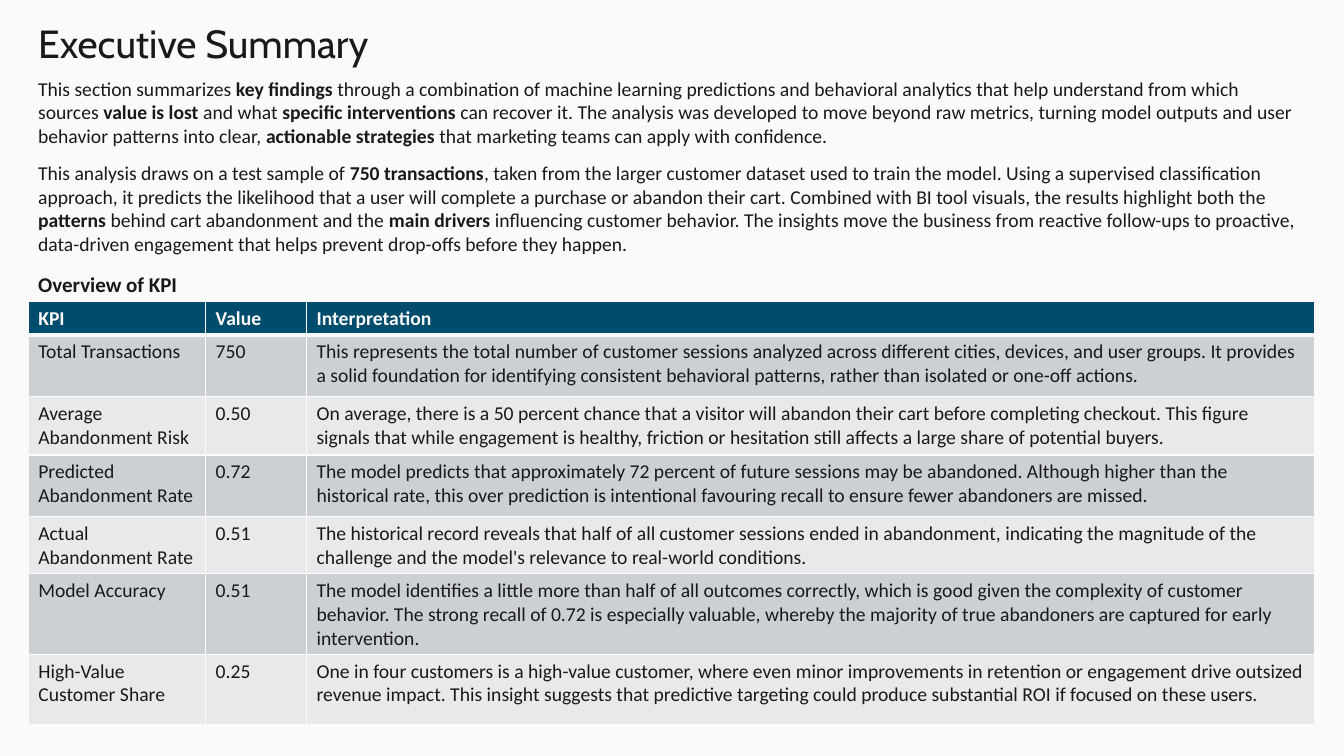
import pptx
import pptx.util
import pptx.dml.color
import pptx.enum.text
import pptx.oxml.ns
from lxml import etree
from pptx.util import Inches

# Text between double asterisks is bold
TITLE = "Executive Summary"
SUMMARY = [
    "This section summarizes **key findings **through a combination of machine learning "
    "predictions and behavioral analytics that help understand from which sources "
    "**value is lost **and what **specific interventions **can recover it. The analysis was "
    "developed to move beyond raw metrics, turning model outputs and user behavior patterns "
    "into clear, **actionable strategies** that marketing teams can apply with confidence.",
    "This analysis draws on a test sample of **750 transactions**, taken from the larger "
    "customer dataset used to train the model. Using a supervised classification approach, it "
    "predicts the likelihood that a user will complete a purchase or abandon their cart. "
    "Combined with BI tool visuals, the results highlight both the **patterns** behind cart "
    "abandonment and the **main drivers** influencing customer behavior. The insights move the "
    "business from reactive follow-ups to proactive, data-driven engagement that helps prevent "
    "drop-offs before they happen.",
]
TABLE_HEADING = "**Overview of KPI**"
HEADER = ("**KPI**", "**Value**", "**Interpretation**")
KPIS = [
    ("Total Transactions", "750",
     "This represents the total number of customer sessions analyzed across different cities, "
     "devices, and user groups. It provides a solid foundation for identifying consistent "
     "behavioral patterns, rather than isolated or one-off actions."),
    ("Average Abandonment Risk", "0.50",
     "On average, there is a 50 percent chance that a visitor will abandon their cart before "
     "completing checkout. This figure signals that while engagement is healthy, friction or "
     "hesitation still affects a large share of potential buyers."),
    ("Predicted Abandonment Rate", "0.72",
     "The model predicts that approximately 72 percent of future sessions may be abandoned. "
     "Although higher than the historical rate, this over prediction is intentional favouring "
     "recall to ensure fewer abandoners are missed."),
    ("Actual Abandonment Rate", "0.51",
     "The historical record reveals that half of all customer sessions ended in abandonment, "
     "indicating the magnitude of the challenge and the model's relevance to real-world "
     "conditions."),
    ("Model Accuracy", "0.51",
     "The model identifies a little more than half of all outcomes correctly, which is good "
     "given the complexity of customer behavior. The strong recall of 0.72 is especially "
     "valuable, whereby the majority of true abandoners are captured for early intervention."),
    ("High-Value Customer Share", "0.25",
     "One in four customers is a high-value customer, where even minor improvements in "
     "retention or engagement drive outsized revenue impact. This insight suggests that "
     "predictive targeting could produce substantial ROI if focused on these users."),
]
COL_WIDTHS = (1.76, 1, 10)
ROW_HEIGHTS = (0.28, 0.61, 0.58, 0.61, 0.49, 0.7, 0.7)
LEFT, WIDTH = 0.28, sum(COL_WIDTHS)

THEME = {
    "paper": "FAFAFA", "ink": "191919", "header": "004C6D", "bands": ("CCD0D4", "E7E9EB"),
    "title_font": "Cabin", "body_font": "Calibri",
    "title_size": 28, "heading_size": 15, "body_size": 14,
}


def rgb(value):
    return pptx.dml.color.RGBColor.from_string(value)


def write(tf, paragraphs, font=THEME["body_font"], size=THEME["body_size"],
          color=THEME["ink"], before=None, spacing=None):
    """Fill a text frame, turning text between double asterisks bold."""
    for i, text in enumerate(paragraphs):
        p = tf.add_paragraph() if i else tf.paragraphs[0]
        if before is not None:
            p.space_before = pptx.util.Pt(before)
        if spacing is not None:
            p.line_spacing = spacing
        for j, part in enumerate(text.split("**")):
            if part:
                r = p.add_run()
                r.text = part
                r.font.name, r.font.size = font, pptx.util.Pt(size)
                r.font.bold = j % 2 == 1
                r.font.color.rgb = rgb(color)


def add_text(s, box, paragraphs, wrap=True, anchor="TOP", **fmt):
    tf = s.shapes.add_textbox(*map(Inches, box)).text_frame
    tf.word_wrap = wrap
    tf.vertical_anchor = getattr(pptx.enum.text.MSO_ANCHOR, anchor)
    write(tf, paragraphs, **fmt)


def set_borders(cell, bottom=1, top=1):
    tc_pr = cell._tc.get_or_add_tcPr()
    qn = pptx.oxml.ns.qn
    for side, points in (("L", 1), ("R", 1), ("T", top), ("B", bottom)):
        line = etree.SubElement(tc_pr, qn("a:ln" + side), w=str(pptx.util.Pt(points)))
        fill = etree.SubElement(line, qn("a:solidFill"))
        etree.SubElement(fill, qn("a:srgbClr"), val=THEME["paper"])


def add_kpi_table(s, top):
    rows = [HEADER] + KPIS
    table = s.shapes.add_table(len(rows), len(HEADER), Inches(LEFT), Inches(top),
                               Inches(WIDTH), Inches(sum(ROW_HEIGHTS))).table
    for column, width in zip(table.columns, COL_WIDTHS):
        column.width = Inches(width)
    for i, (row, height, texts) in enumerate(zip(table.rows, ROW_HEIGHTS, rows)):
        row.height = Inches(height)
        background = THEME["bands"][(i - 1) % 2] if i else THEME["header"]
        for cell, text in zip(row.cells, texts):
            set_borders(cell, bottom=1 if i else 3, top=3 if i == 1 else 1)
            cell.fill.solid()
            cell.fill.fore_color.rgb = rgb(background)
            write(cell.text_frame, [text], color=THEME["ink" if i else "paper"])


def main():
    prs = pptx.Presentation()
    prs.slide_width, prs.slide_height = Inches(13.33), Inches(7.5)
    s = prs.slides.add_slide(prs.slide_layouts[6])
    s.background.fill.solid()
    s.background.fill.fore_color.rgb = rgb(THEME["paper"])

    add_text(s, (LEFT, 0.71, WIDTH, 2.1), SUMMARY, before=10)
    add_text(s, (LEFT, 0.19, 11.5, 0.52), [TITLE], anchor="MIDDLE", spacing=0.9,
             font=THEME["title_font"], size=THEME["title_size"])
    add_kpi_table(s, 2.99)
    add_text(s, (LEFT, 2.64, 1.63, 0.35), [TABLE_HEADING], wrap=False,
             size=THEME["heading_size"])
    prs.save("out.pptx")


if __name__ == "__main__":
    main()
